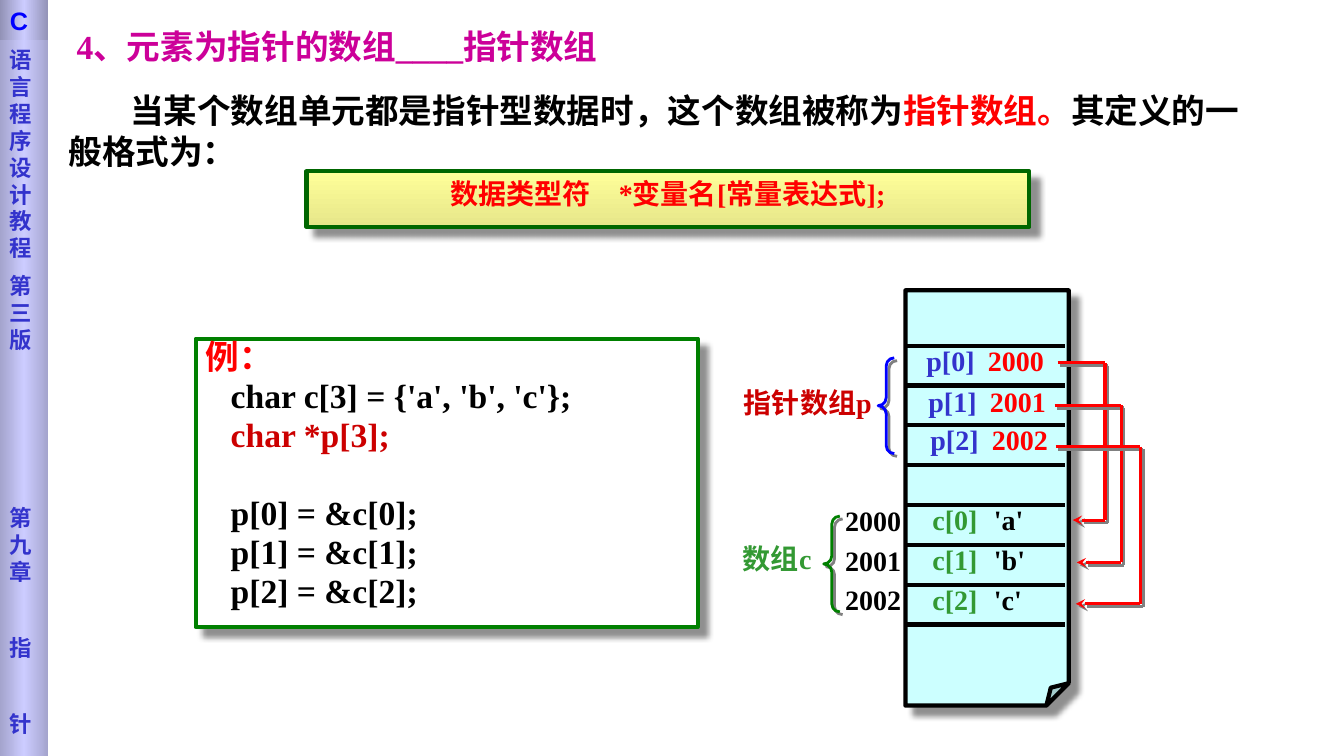
import itertools
import lxml.etree
import pptx
import pptx.dml.color
import pptx.enum.shapes
import pptx.enum.text
import pptx.oxml.ns
import pptx.util

Inches = pptx.util.Inches
Pt = pptx.util.Pt
Shapes = pptx.enum.shapes.MSO_SHAPE
Align = pptx.enum.text.PP_ALIGN
Anchor = pptx.enum.text.MSO_ANCHOR
qn = pptx.oxml.ns.qn
add_element = lxml.etree.SubElement

COLORS = {
    "magenta": "CC0099", "black": "000000", "red": "FF0000", "dark red": "CC0000",
    "blue": "0000FF", "indigo": "3333CC", "green": "339933", "frame green": "008000",
    "dark green": "006600", "cyan": "CCFFFF", "white": "FFFFFF", "gray": "808080",
    "yellow": "FFFF99", "olive": "E6E68A", "lilac": "CCCCFF",
    "lilac edge": "A4A4CD", "cap edge": "9292B6",
}
TITLE = "4、元素为指针的数组____指针数组"
DEFINITION = [
    ("当某个数组单元都是指针型数据时，这个数组被称为", "black"),
    ("指针数组。", "red"),
    ("其定义的一般格式为：", "black"),
]
SYNTAX = "数据类型符　*变量名[常量表达式];"
EXAMPLE = [
    ("例：", "red", 0, 0),
    ("char c[3] = {'a', 'b', 'c'};", "black", 0.25, 4.8),
    ("char *p[3];", "dark red", 0.25, 4.8),
    ("p[0] = &c[0];", "black", 0.25, 32.7),
    ("p[1] = &c[1];", "black", 0.25, 4.8),
    ("p[2] = &c[2];", "black", 0.25, 4.8),
]
ADDRESSES = ["2000", "2001", "2002"]
LETTERS = ["'a'", "'b'", "'c'"]
POINTER_ROWS = [(9.09, 3.36), (9.11, 3.77), (9.13, 4.14)]
ARRAY_LABELS = [
    ("指针数组p", "dark red", (7.28, 3.78, 1.65, 0.43)),
    ("数组c", "green", (7.27, 5.32, 0.94, 0.43)),
]
BRACES = [("blue", 8.71, 3.55), ("frame green", 8.17, 5.12)]
ARROWS = [(10.49, 3.6, 10.96, 10.64), (10.46, 4.02, 11.12, 10.68), (10.47, 4.43, 11.31, 10.67)]
ARROW_DROP = 1.56
ROW_TOP, ROW_STEP, ROW_LINES = 3.43, 0.395, 8
SIDEBAR = [("语言程序设计教程", 0), ("第三版", 8), ("第九章", 108), ("指", 35), ("针", 35)]
SOFT_SHADOW = ("black", 43, 4, 8.4)
HARD_SHADOW = ("gray", 100, 0, 2.8)

def rgb(color):
    return pptx.dml.color.RGBColor.from_string(COLORS[color])

def inches(lengths):
    return [Inches(length) for length in lengths]

def set_shadow(shape, shadow):
    properties = shape.element.spPr
    effects = properties.find(qn("a:effectLst"))
    if effects is None:
        effects = add_element(properties, qn("a:effectLst"))
    if shadow:
        color, alpha, blur, distance = shadow
        outer = add_element(effects, qn("a:outerShdw"), blurRad=str(Pt(blur)), dist=str(Pt(distance)),
                            dir="2700000", algn="ctr", rotWithShape="0")
        shade = add_element(outer, qn("a:srgbClr"), val=COLORS[color])
        add_element(shade, qn("a:alpha"), val=str(alpha * 1000))

def write(shape, lines, size, align=Align.LEFT, name="Times New Roman", anchor=Anchor.TOP, spacing=1.0):
    frame = shape.text_frame
    frame.word_wrap = True
    frame.auto_size = pptx.enum.text.MSO_AUTO_SIZE.NONE
    frame.vertical_anchor = anchor
    frame.margin_left = frame.margin_right = Inches(0.1)
    frame.margin_top = frame.margin_bottom = Inches(0.05)
    for index, (text, color, indent, gap) in enumerate(lines):
        paragraph = frame.add_paragraph() if index else frame.paragraphs[0]
        paragraph.text = text
        paragraph.alignment = align
        paragraph.line_spacing = spacing
        paragraph.space_before = Pt(gap)
        paragraph._p.get_or_add_pPr().set("marL", str(Inches(indent)))
        font = paragraph.font
        font.size, font.bold, font.name = Pt(size), True, name
        font.color.rgb = rgb(color)
    return frame

def add_runs(paragraph, runs):
    for text, color in runs:
        run = paragraph.add_run()
        run.text = text
        run.font.color.rgb = rgb(color)

def add_label(box, text, color, align=Align.LEFT, anchor=Anchor.TOP):
    label = slide.shapes.add_textbox(*inches(box))
    return write(label, [(text, color, 0, 0)], 20, align, anchor=anchor).paragraphs[0]

def add_cell(left, top, name, name_color, value, value_color):
    paragraph = add_label((left, top, 1.37, 0.43), "", name_color)
    tabs = lxml.etree.Element(qn("a:tabLst"))
    add_element(tabs, qn("a:tab"), pos=str(Inches(0.61)), algn="l")
    paragraph._p.pPr.find(qn("a:defRPr")).addprevious(tabs)
    add_runs(paragraph, [(name + "\t", name_color), (value, value_color)])

def add_box(kind, box, fill=None, line=None, width=3, shadow=None):
    shape = slide.shapes.add_shape(kind, *inches(box))
    if isinstance(fill, tuple):
        angle, stops = fill
        shape.fill.gradient()
        shape.fill.gradient_angle = angle
        stop_list = shape.element.spPr.find(qn("a:gradFill")).find(qn("a:gsLst"))
        for stop in list(stop_list):
            stop_list.remove(stop)
        for index, color in enumerate(stops):
            position = index * 100000 // (len(stops) - 1)
            stop = add_element(stop_list, qn("a:gs"), pos=str(position))
            add_element(stop, qn("a:srgbClr"), val=COLORS[color])
    elif fill:
        shape.fill.solid()
        shape.fill.fore_color.rgb = rgb(fill)
    else:
        shape.fill.background()
    if line:
        shape.line.color.rgb = rgb(line)
        shape.line.width = Pt(width)
    else:
        shape.line.fill.background()
    shape.shadow.inherit = False
    set_shadow(shape, shadow)
    return shape

def add_line(start, end, color, width, shadow=None, arrow=False):
    line = slide.shapes.add_connector(pptx.enum.shapes.MSO_CONNECTOR.STRAIGHT, *inches(start + end))
    line.line.color.rgb = rgb(color)
    line.line.width = Pt(width)
    if arrow:
        add_element(line.element.spPr.find(qn("a:ln")), qn("a:tailEnd"), type="stealth")
    set_shadow(line, shadow)

presentation = pptx.Presentation()
presentation.slide_width, presentation.slide_height = inches((13.33, 7.5))
slide = presentation.slides.add_slide(presentation.slide_layouts[1])
title, body = slide.placeholders
title.left, title.top, title.width, title.height = inches((0.66, 0.21, 5.99, 0.55))
write(title, [(TITLE, "magenta", 0, 0)], 24)

body.left, body.top, body.width, body.height = inches((0.58, 0.84, 12.07, 0.91))
definition = body.text_frame.paragraphs[0]
properties = definition._p.get_or_add_pPr()
properties.set("indent", str(Inches(0.61)))
add_element(properties, qn("a:buNone"))
write(body, [("", "black", 0, 0)], 24, anchor=Anchor.MIDDLE)
add_runs(definition, DEFINITION)

syntax = add_box(Shapes.RECTANGLE, (3.04, 1.7, 7.17, 0.55), (270, ["yellow", "olive"]),
                 "dark green", shadow=SOFT_SHADOW)
write(syntax, [(SYNTAX, "red", 0, 0)], 20, Align.CENTER)
example = add_box(Shapes.RECTANGLE, (1.94, 3.36, 4.98, 2.86), "white", "frame green", shadow=SOFT_SHADOW)
write(example, EXAMPLE, 24, spacing=0.8)

for color, left, top in BRACES:
    brace = add_box(Shapes.LEFT_BRACE, (left, top, 0.16, 0.95), None, color, 2, HARD_SHADOW)
    brace.adjustments[0] = 0.5
for text, color, box in ARRAY_LABELS:
    add_label(box, text, color)

memory = add_box(Shapes.FOLDED_CORNER, (8.98, 2.88, 1.62, 4.12), "cyan", "black", shadow=SOFT_SHADOW)
corner = memory.element.spPr.find(qn("a:prstGeom")).find(qn("a:avLst"))
add_element(corner, qn("a:gd"), name="adj", fmla="val 13700")
for row in range(ROW_LINES):
    y = ROW_TOP + row * ROW_STEP
    add_line((8.98, y), (10.56, y), "black", 3)

for index, (address, letter, (left, top)) in enumerate(zip(ADDRESSES, LETTERS, POINTER_ROWS)):
    y = 4.94 + index * ROW_STEP
    add_label((8.24, y, 0.84, 0.44), address, "black", Align.CENTER, Anchor.MIDDLE)
    add_cell(9.15, y, f"c[{index}]", "green", letter, "black")
    add_cell(left, top, f"p[{index}]", "indigo", address, "red")

for start, y, right, end in ARROWS:
    corners = [(start, y), (right, y), (right, y + ARROW_DROP), (end, y + ARROW_DROP)]
    for index, (first, second) in enumerate(itertools.pairwise(corners)):
        add_line(first, second, "red", 2.25, HARD_SHADOW, index == 2)

sidebar = add_box(Shapes.RECTANGLE, (0, 0, 0.48, 7.5), (0, ["lilac edge", "lilac", "lilac edge"]))
frame = write(sidebar, [(text, "indigo", 0, gap) for text, gap in SIDEBAR], 16, name="DejaVu Sans")
frame.margin_left, frame.margin_top = inches((0.09, 0.46))
cap = add_box(Shapes.RECTANGLE, (0, 0, 0.48, 0.4), (0, ["cap edge", "lilac", "cap edge"]))
write(cap, [("C", "blue", 0, 0)], 18, name="Arial")

presentation.save("out.pptx")
